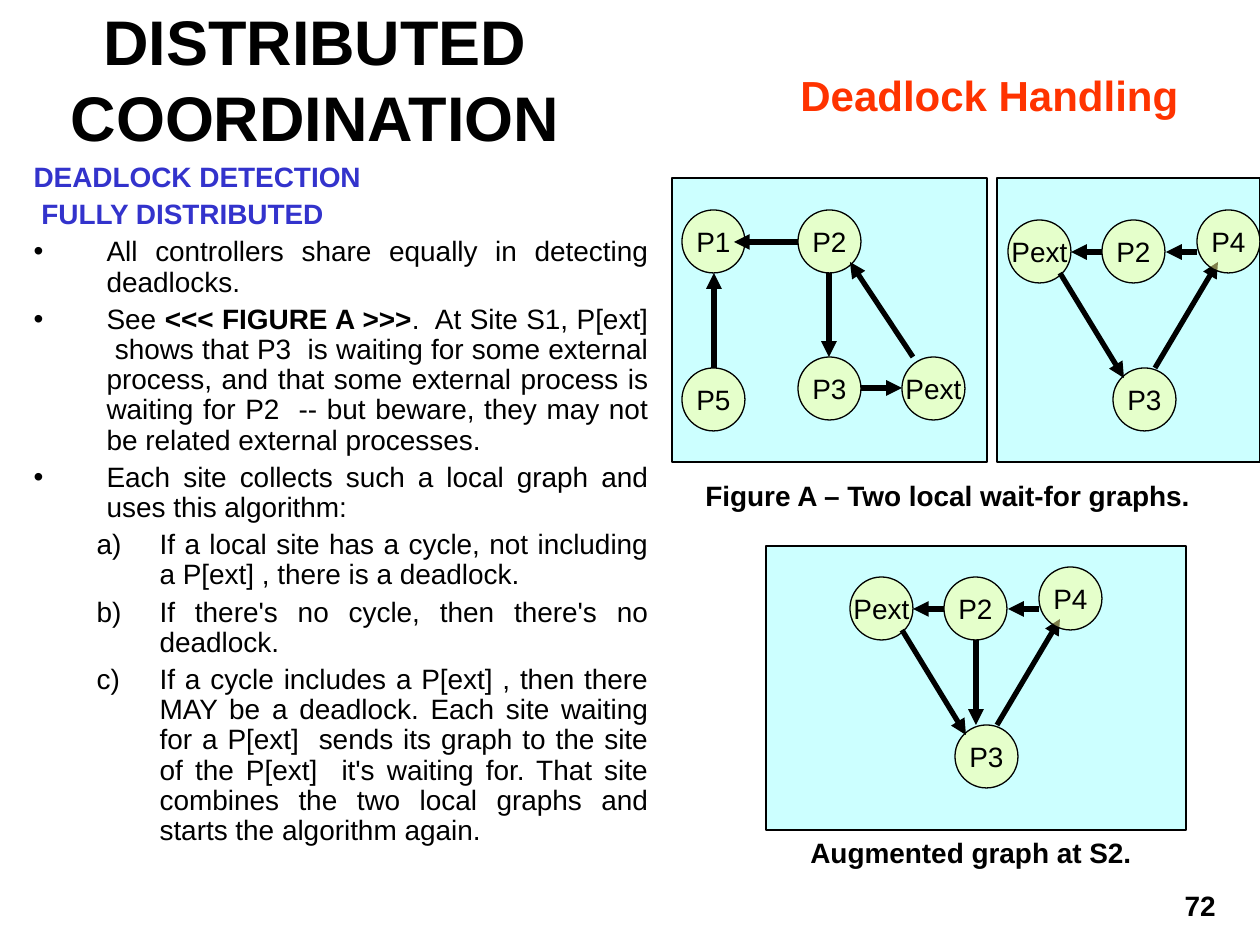
import pptx
import pptx.util
import pptx.dml.color
import pptx.enum.shapes
import pptx.enum.text
import pptx.oxml
import pptx.oxml.ns
import lxml.etree

RGB = pptx.dml.color.RGBColor
SHAPE = pptx.enum.shapes.MSO_SHAPE
ALIGN = pptx.enum.text.PP_ALIGN
ANCHOR = pptx.enum.text.MSO_ANCHOR
FIT = pptx.enum.text.MSO_AUTO_SIZE

BLACK = RGB(0x00, 0x00, 0x00)
BLUE = RGB(0x33, 0x33, 0xCC)
RED = RGB(0xFF, 0x33, 0x00)
CYAN = RGB(0xCC, 0xFF, 0xFF)
YELLOW = RGB(0xFF, 0xFF, 0x99)

FONT = "Arial"
SCALE = 914400 / 126
NODE = 63

TITLE = "DISTRIBUTED COORDINATION"

BODY = [
    ("head", [("DEADLOCK DETECTION", True)]),
    ("head", [(" ", False), ("FULLY DISTRIBUTED", True)]),
    ("dot", [("All controllers share equally in detecting deadlocks.", False)]),
    ("dot", [
        ("See ", False),
        ("<<< FIGURE A >>>", True),
        (".  At Site S1, P[ext]  shows that P3  is waiting for some external "
         "process, and that some external process is waiting for P2  -- but "
         "beware, they may not be related external processes.", False),
    ]),
    ("dot", [("Each site collects such a local graph and uses this algorithm:", False)]),
    ("step", [("If a local site has a cycle, not including a P[ext] , "
               "there is a deadlock.", False)]),
    ("step", [("If there's no cycle, then there's no deadlock.", False)]),
    ("step", [("If a cycle includes a P[ext] , then there MAY be a deadlock. "
               "Each site waiting for a P[ext]  sends its graph to the site of "
               "the P[ext]  it's waiting for. That site combines the two local "
               "graphs and starts the algorithm again.", False)]),
]

# kind: level, left margin, hang, colour, bullet tag, bullet attributes
STYLES = {
    "head": (0, 73, 73, BLUE, "a:buNone", {}),
    "dot": (0, 73, 73, BLACK, "a:buChar", {"char": "•"}),
    "step": (1, 126, 63, BLACK, "a:buAutoNum", {"type": "alphaLcParenR"}),
}

# text, box, size, colour, alignment, wrap
LABELS = [
    ("Deadlock Handling", (788, 63, 403, 63), 24, RED, ALIGN.LEFT, False),
    ("Figure A – Two local wait-for graphs.", (693, 472, 567, 47), 16, BLACK, ALIGN.LEFT, True),
    ("Augmented graph at S2.", (798, 829, 388, 47), 16, BLACK, ALIGN.LEFT, True),
    ("72", (966, 882, 262, 42), 16, BLACK, ALIGN.RIGHT, True),
]

S1_NODES = [("P1", 0, 0), ("P2", 116, 0), ("P3", 116, 147), ("P5", 0, 158), ("Pext", 220, 147)]
S1_EDGES = [
    (32, 158, 32, 63),
    (147, 63, 147, 147),
    (116, 32, 52, 32),
    (231, 147, 168, 52),
    (179, 178, 220, 178),
]
S2_NODES = [("P3", 105, 158), ("P4", 189, 0), ("P2", 94, 10), ("Pext", 0, 10)]
S2_BACK = [(147, 158, 210, 52)]
S2_EDGES = [(189, 42, 158, 42), (94, 42, 63, 42), (52, 63, 116, 168)]

# panel, origin, edges behind, nodes, edges in front
GRAPHS = [
    ((672, 178, 315, 284), (682, 210), [], S1_NODES, S1_EDGES),
    ((997, 178, 263, 284), (1008, 210), S2_BACK, S2_NODES, S2_EDGES),
    ((766, 546, 420, 284), (850, 567), S2_BACK, S2_NODES, S2_EDGES + [(126, 73, 126, 158)]),
]


def px(num):
    return round(num * SCALE)


def place(shape, box):
    shape.left, shape.top, shape.width, shape.height = map(px, box)


def add_run(para, text, size, color, bold=False):
    run = para.add_run()
    run.text = text
    font = run.font
    font.name, font.size, font.bold = FONT, pptx.util.Pt(size), bold
    font.color.rgb = color


def add_child(node, tag, **attrs):
    child = lxml.etree.SubElement(node, pptx.oxml.ns.qn(tag))
    for key, val in attrs.items():
        child.set(key, val)
    return child


def add_shape(slide, kind, box, fill):
    shape = slide.shapes.add_shape(kind, *map(px, box))
    shape.shadow.inherit = False
    shape.fill.solid()
    shape.fill.fore_color.rgb = fill
    shape.line.color.rgb = BLACK
    shape.line.width = pptx.util.Pt(0.75)
    return shape


def add_node(slide, name, left, top):
    shape = add_shape(slide, SHAPE.OVAL, (left, top, NODE, NODE), YELLOW)
    tint = shape.fill._xPr.find(".//" + pptx.oxml.ns.qn("a:srgbClr"))
    add_child(tint, "a:alpha", val="50000")
    frame = shape.text_frame
    frame.word_wrap = False
    frame.vertical_anchor = ANCHOR.MIDDLE
    para = frame.paragraphs[0]
    para.alignment = ALIGN.CENTER
    add_run(para, name, 16, BLACK)


def add_edge(slide, ends):
    line = slide.shapes.add_connector(pptx.enum.shapes.MSO_CONNECTOR.STRAIGHT, *map(px, ends))
    line.line.color.rgb = BLACK
    line.line.width = pptx.util.Pt(3)
    add_child(line.line._get_or_add_ln(), "a:tailEnd", type="triangle")
    add_child(line._element.spPr, "a:effectLst")


def add_graph(slide, panel, start, back, nodes, front):
    left, top = start

    def add_edges(edges):
        for x1, y1, x2, y2 in edges:
            add_edge(slide, (left + x1, top + y1, left + x2, top + y2))

    add_shape(slide, SHAPE.RECTANGLE, panel, CYAN)
    add_edges(back)
    for name, x, y in nodes:
        add_node(slide, name, left + x, top + y)
    add_edges(front)


def fill_title(shape):
    place(shape, (0, 0, 630, 157))
    frame = shape.text_frame
    frame.auto_size = FIT.NONE
    frame.vertical_anchor = ANCHOR.MIDDLE
    para = frame.paragraphs[0]
    para.alignment = ALIGN.CENTER
    add_run(para, TITLE, 36, BLACK, True)


def fill_body(shape):
    place(shape, (21, 157, 640, 746))
    frame = shape.text_frame
    frame.auto_size = FIT.NONE
    for num, (kind, runs) in enumerate(BODY):
        level, left, hang, color, tag, attrs = STYLES[kind]
        para = frame.add_paragraph() if num else frame.paragraphs[0]
        para.level = level
        para.alignment = ALIGN.JUSTIFY
        para.line_spacing = 0.9
        para.space_before = pptx.util.Pt(4 if num else 0)
        props = para._p.get_or_add_pPr()
        props.set("marL", str(px(left)))
        props.set("indent", str(-px(hang)))
        if attrs:
            add_child(add_child(props, "a:buClr"), "a:srgbClr", val=str(BLACK))
        add_child(props, tag, **attrs)
        for text, bold in runs:
            add_run(para, text, 16, color, bold)


def add_label(slide, text, box, size, color, align, wrap):
    frame = slide.shapes.add_textbox(*map(px, box)).text_frame
    frame.word_wrap = wrap
    para = frame.paragraphs[0]
    para.alignment = align
    add_run(para, text, size, color, True)


def main():
    deck = pptx.Presentation()
    deck.slide_width, deck.slide_height = px(1260), px(945)
    slide = deck.slides.add_slide(deck.slide_layouts[1])
    fill_title(slide.shapes.title)
    fill_body(slide.placeholders[1])
    for graph in GRAPHS:
        add_graph(slide, *graph)
    for label in LABELS:
        add_label(slide, *label)
    deck.save("out.pptx")


if __name__ == "__main__":
    main()
